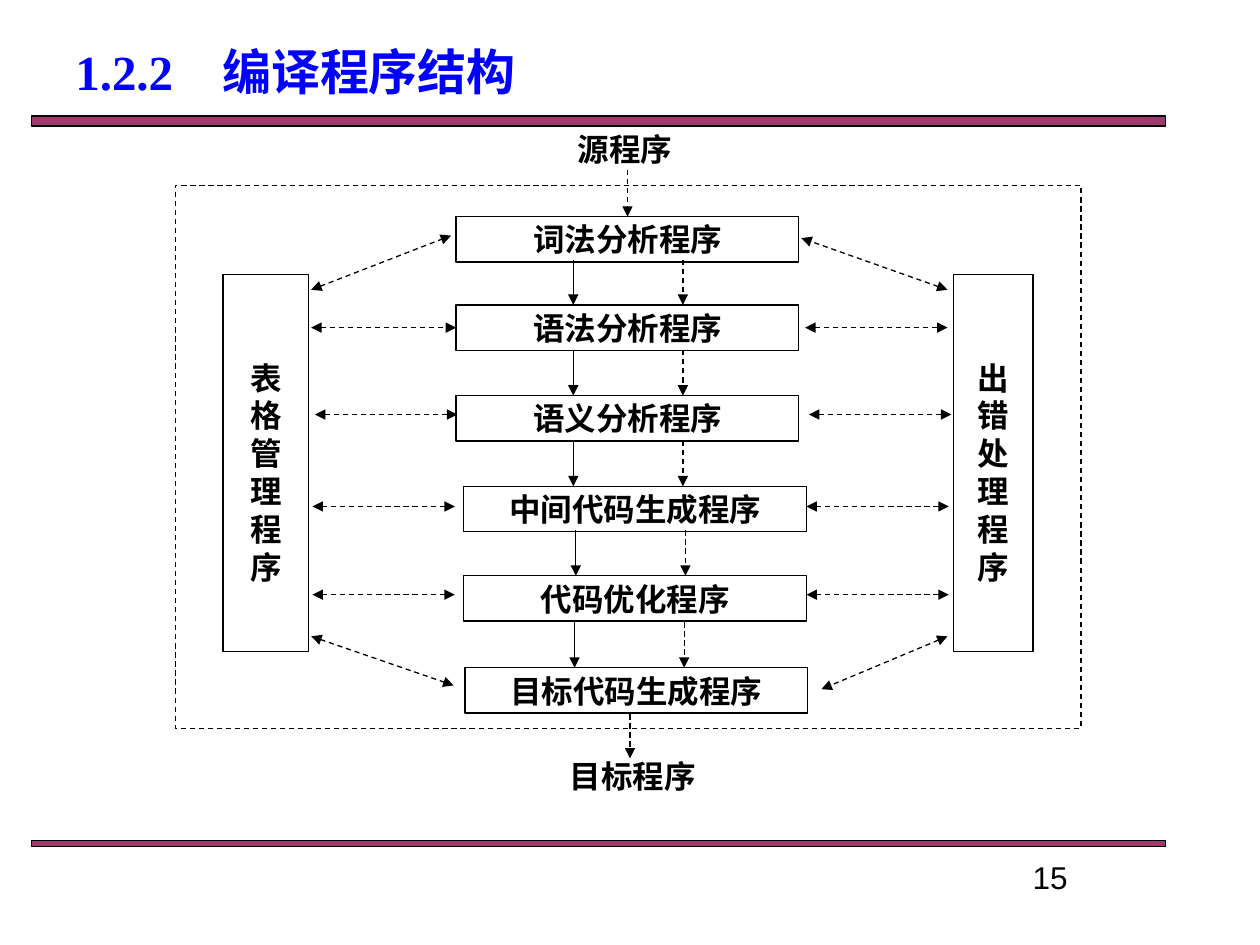
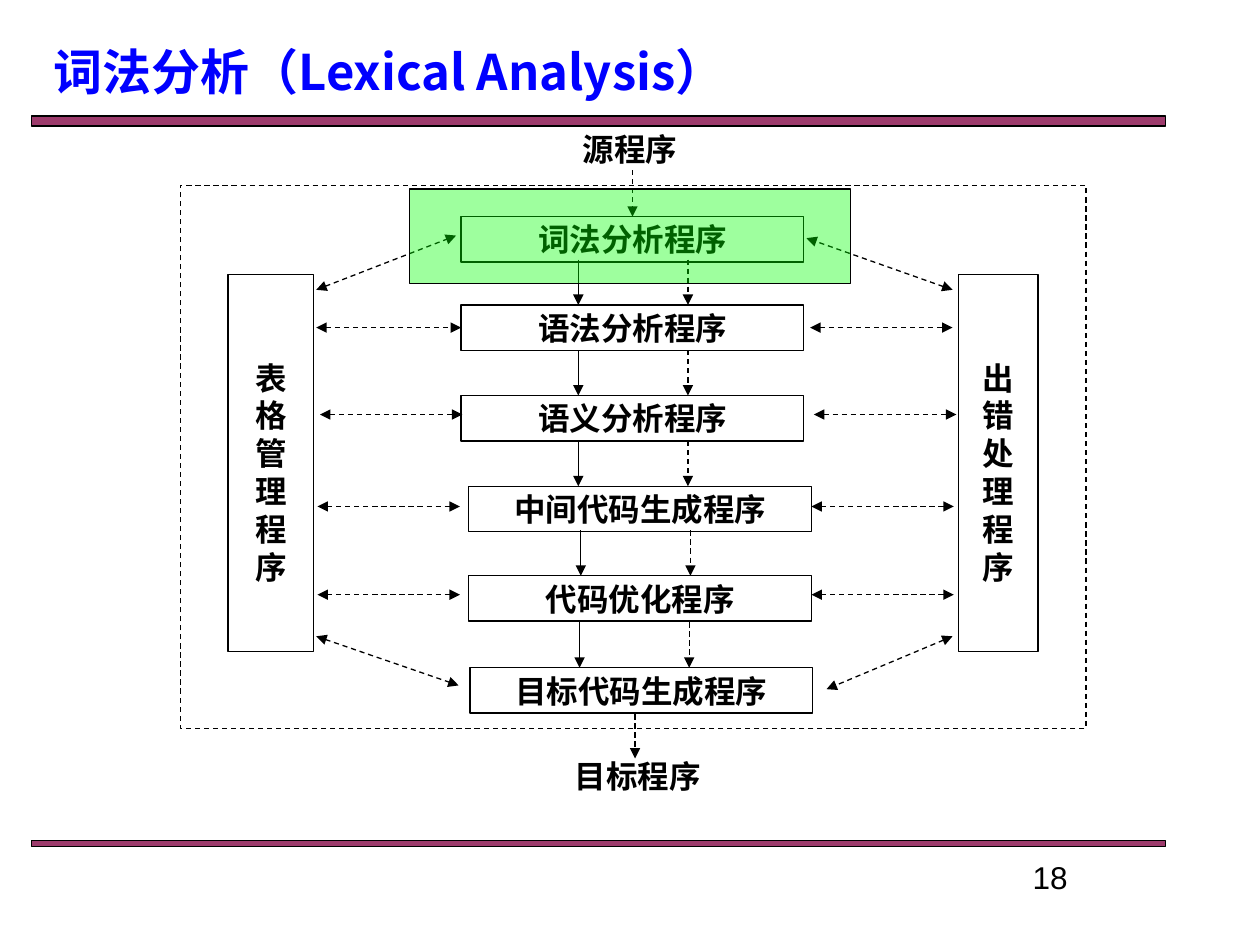
from lxml.etree import SubElement
from pptx import Presentation
from pptx.dml.color import RGBColor
from pptx.enum.dml import MSO_LINE
from pptx.enum.shapes import MSO_CONNECTOR, MSO_SHAPE
from pptx.enum.text import MSO_ANCHOR, PP_ALIGN
from pptx.oxml.ns import qn
from pptx.util import Inches, Pt

BLACK, WHITE, BLUE = "000000", "FFFFFF", "0000FF"
PLUM, GREEN = "993366", "00FF00"
SERIF, SANS, HAN = "Times New Roman", "Arial", "Noto Sans CJK SC"

BOX_W, BOX_H = 2.72, 0.36
# name, left, top
STAGES = [
    ("词法分析程序", 3.62, 1.72),
    ("语法分析程序", 3.62, 2.42),
    ("语义分析程序", 3.62, 3.14),
    ("中间代码生成程序", 3.68, 3.86),
    ("代码优化程序", 3.68, 4.57),
    ("目标代码生成程序", 3.69, 5.3),
]
# x of the solid arrow below each stage but the last
FLOWS = [4.55, 4.55, 4.55, 4.57, 4.56]
FLOW_GAP = 0.87
# left end and height of the level links
LINKS = [(2.47, 2.6), (2.5, 3.29), (2.48, 4.02), (2.48, 4.72)]
LINK_W, LINK_STEP = 1.13, 3.92
SLANTS = [
    (2.47, 2.3, 3.58, 1.87),
    (2.47, 5.05, 3.6, 5.44),
    (7.52, 2.3, 6.36, 1.89),
    (7.52, 5.05, 6.52, 5.47),
]


def color(text):
    return RGBColor.from_string(text)


class Deck:
    """Holds the style, the current slide and its sideways shift in inches."""

    def __init__(self):
        self.prs = Presentation()
        self.prs.slide_width, self.prs.slide_height = Inches(10), Inches(7.5)
        self.slide, self.dx = None, 0

    def start(self, number):
        self.slide = self.prs.slides.add_slide(self.prs.slide_layouts[6])
        self.dx = 0
        for top, height in ((0.92, 0.08), (6.67, 0.05)):
            self.rect(0.25, top, 9, height, PLUM, alpha=96)
        self.text(number, 7.17, 6.75, 2.33, 0.42, font=SANS, bold=False)

    def place(self, x, y, w, h):
        return Inches(x + self.dx), Inches(y), Inches(w), Inches(h)

    def pen(self, line, dash):
        line.color.rgb = color(BLACK)
        line.width = Pt(0.75)
        if dash:
            line.dash_style = MSO_LINE.DASH

    def rect(self, x, y, w, h, fill=None, alpha=100, dash=False):
        shape = self.slide.shapes.add_shape(
            MSO_SHAPE.RECTANGLE, *self.place(x, y, w, h))
        shape.shadow.inherit = False
        self.pen(shape.line, dash)
        if fill is None:
            shape.fill.background()
            return shape
        shape.fill.solid()
        shape.fill.fore_color.rgb = color(fill)
        if alpha < 100:
            solid = shape._element.spPr.find(qn("a:solidFill"))
            SubElement(solid[0], qn("a:alpha"), val=str(alpha * 1000))
        return shape

    def label(self, shape, words, size=18, font=SERIF, ink=BLACK, bold=True,
              align=PP_ALIGN.CENTER, anchor=MSO_ANCHOR.MIDDLE):
        frame = shape.text_frame
        frame.word_wrap = True
        frame.vertical_anchor = anchor
        frame.margin_top = frame.margin_bottom = 0
        para = frame.paragraphs[0]
        para.alignment = align
        run = para.add_run()
        run.text = words
        run.font.size, run.font.bold = Pt(size), bold
        run.font.color.rgb = color(ink)
        run.font.name = font
        SubElement(run._r.get_or_add_rPr(), qn("a:ea"), typeface=HAN)
        return frame

    def text(self, words, x, y, w, h, **style):
        box = self.slide.shapes.add_textbox(*self.place(x, y, w, h))
        self.label(box, words, **style)

    def title(self, words, x, w, font):
        self.text(words, x, 0.33, w, 0.57, size=28, font=font, ink=BLUE,
                  align=PP_ALIGN.LEFT, anchor=MSO_ANCHOR.TOP)

    def box(self, words, x, y):
        shape = self.rect(x, y, BOX_W, BOX_H, WHITE)
        self.label(shape, words)
        return shape

    def tower(self, words, x, w):
        """Tall box, narrow enough to hold one character a line."""
        frame = self.label(self.rect(x, 2.18, w, 2.99, WHITE), words)
        frame.margin_top = Inches(0.14)
        frame.paragraphs[0].line_spacing = Pt(21.6)

    def arrow(self, x1, y1, x2, y2, dash=True, both=False):
        link = self.slide.shapes.add_connector(
            MSO_CONNECTOR.STRAIGHT, Inches(x1 + self.dx), Inches(y1),
            Inches(x2 + self.dx), Inches(y2))
        self.pen(link.line, dash)
        line = link._element.spPr.find(qn("a:ln"))
        for end in ("a:headEnd", "a:tailEnd") if both else ("a:tailEnd",):
            SubElement(line, qn(end), type="triangle")
        SubElement(link._element.spPr, qn("a:effectLst"))
        return link

    def chart(self, dx=0):
        """Draws the compiler structure, moved right by dx."""
        self.dx = dx
        self.text("源程序", 3.6, 1, BOX_W, BOX_H)
        boxes = [self.box(*stage) for stage in STAGES]
        self.text("目标程序", 3.66, 5.98, BOX_W, BOX_H)
        self.tower("表格管理程序", 1.77, 0.68)
        self.tower("出错处理程序", 7.57, 0.63)

        self.arrow(4.98, 1.35, 4.98, 1.72).end_connect(boxes[0], 0)
        self.arrow(5, 5.67, 5, 6.02)
        for x, (_, _, top) in zip(FLOWS, STAGES[1:]):
            self.arrow(x, top - 0.36, x, top, dash=False)
            self.arrow(x + FLOW_GAP, top - 0.36, x + FLOW_GAP, top)

        lefts = []
        for x, y in LINKS:
            lefts.append(self.arrow(x, y, x + LINK_W, y, both=True))
            far = x + LINK_STEP
            self.arrow(far, y, far + LINK_W, y, both=True)
        lefts[0].end_connect(boxes[1], 1)
        for ends in SLANTS:
            self.arrow(*ends, both=True)
        self.rect(1.39, 1.47, 7.19, 4.31, dash=True)
        self.dx = 0


def main():
    deck = Deck()
    deck.start("15")
    deck.chart()
    deck.title("1.2.2　编译程序结构", 0.5, 4.74, SERIF)

    deck.start("18")
    deck.chart(dx=0.04)
    deck.rect(3.25, 1.5, 3.5, 0.75, GREEN, alpha=38)
    deck.title("词法分析（Lexical Analysis）", 0.33, 9, HAN)
    deck.prs.save("out.pptx")


if __name__ == "__main__":
    main()
